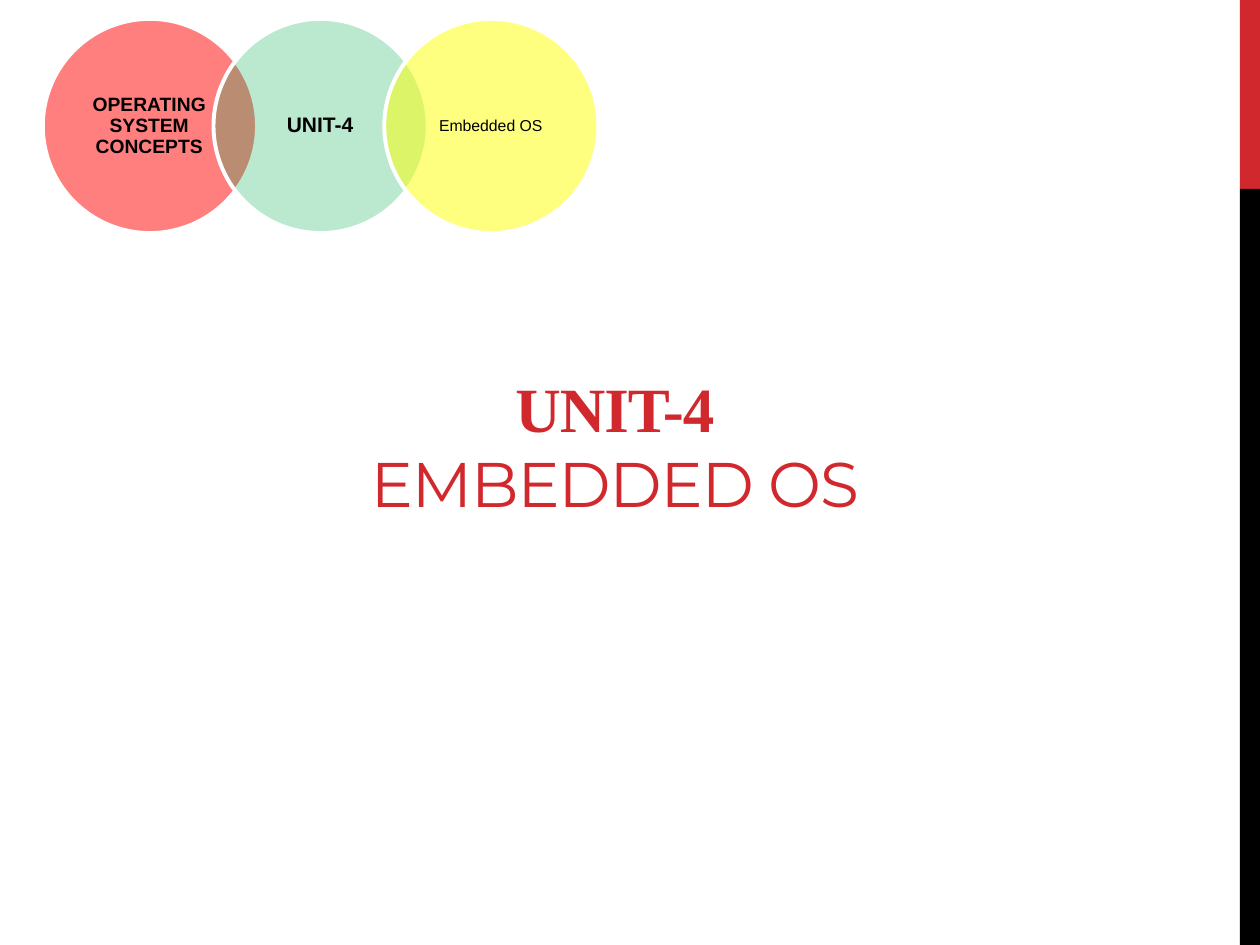
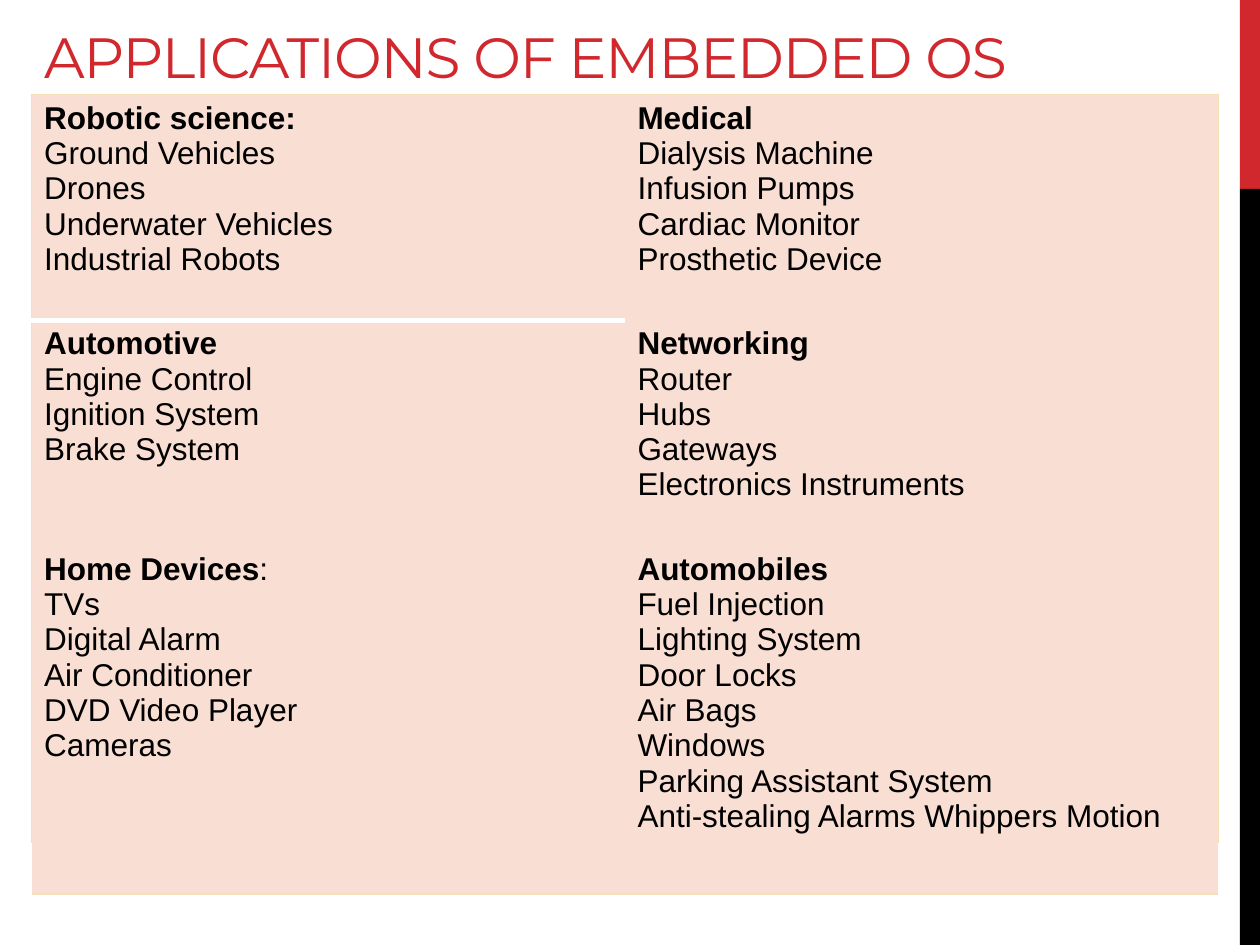
from pptx import Presentation
from pptx.dml.color import RGBColor
from pptx.enum.shapes import MSO_SHAPE
from pptx.enum.text import MSO_ANCHOR, MSO_AUTO_SIZE, PP_ALIGN
from pptx.oxml import parse_xml
from pptx.oxml.ns import nsdecls, qn
from pptx.util import Inches, Pt
from lxml import etree

RED = RGBColor(0xD1, 0x28, 0x2E)
BLACK = RGBColor(0x00, 0x00, 0x00)
WHITE = RGBColor(0xFF, 0xFF, 0xFF)
CIRCLE_RED = RGBColor(0xFF, 0x00, 0x00)
CIRCLE_GREEN = RGBColor(0x00, 0xB0, 0x50)
CIRCLE_YELLOW = RGBColor(0xFF, 0xFF, 0x00)
CELL_PINK = RGBColor(0xF8, 0xDE, 0xD3)
OUTLINE_CREAM = RGBColor(0xF6, 0xDE, 0xB7)
NO_STYLE_NO_GRID = "{2D5ABB26-0587-4C30-8999-92F81FD0307C}"


def set_title(slide, text, box, size, align, bottom_inset):
    title = slide.shapes.title
    title.left, title.top, title.width, title.height = map(Inches, box)
    frame = title.text_frame
    frame.text = text
    frame.auto_size = MSO_AUTO_SIZE.NONE
    frame.vertical_anchor = MSO_ANCHOR.BOTTOM
    frame.margin_bottom = Inches(bottom_inset)
    for paragraph in frame.paragraphs:
        paragraph.alignment = align
        for run in paragraph.runs:
            run.font.size = Pt(size)
            run.font.name = "Montserrat"
            run.font.color.rgb = RED
            run.font._element.set("spc", "-60")
    return frame


def add_border(cell, side, color, width):
    cell._tc.get_or_add_tcPr().append(parse_xml(
        f'<a:ln{side} {nsdecls("a")} w="{Pt(width)}"><a:solidFill>'
        f'<a:srgbClr val="{color}"/></a:solidFill></a:ln{side}>'))


prs = Presentation()
prs.slide_width, prs.slide_height = Inches(10), Inches(7.5)
title_only = prs.slide_layouts[5]
unit_slide = prs.slides.add_slide(title_only)
applications_slide = prs.slides.add_slide(title_only)

for top, height, color in ((0, 1.5, RED), (1.5, 6, BLACK)):
    band = unit_slide.shapes.add_shape(
        MSO_SHAPE.RECTANGLE, Inches(9.84), Inches(top), Inches(0.16), Inches(height))
    band.shadow.inherit = False
    band.fill.solid()
    band.fill.fore_color.rgb = color
    band.line.fill.background()
    prs.slide_master.shapes.element.append(band._element)

heading = set_title(unit_slide, "UNIT-4\nEMBEDDED OS", (0.17, 0.33, 9.42, 5),
                    36, PP_ALIGN.CENTER, 1.2)
unit_font = heading.paragraphs[0].runs[0].font
unit_font.name = "Times New Roman"
unit_font.bold = True

topics = (
    ("OPERATING SYSTEM CONCEPTS", 11, True, CIRCLE_RED, 50),
    ("UNIT-4", 12, True, CIRCLE_GREEN, 27),
    ("Embedded OS", 9, False, CIRCLE_YELLOW, 50),
)
venn = unit_slide.shapes.add_group_shape()
for index, (topic, size, bold, color, opacity) in enumerate(topics):
    left = 0.34 + 1.355 * index
    circle = venn.shapes.add_shape(
        MSO_SHAPE.OVAL, Inches(left), Inches(0.15), Inches(1.7), Inches(1.7))
    circle.shadow.inherit = False
    circle.fill.solid()
    circle.fill.fore_color.rgb = color
    tint = circle._element.spPr.find(qn("a:solidFill")).find(qn("a:srgbClr"))
    etree.SubElement(tint, qn("a:alpha")).set("val", str(opacity * 1000))
    circle.line.color.rgb = WHITE
    circle.line.width = Pt(2.25)

    label = venn.shapes.add_textbox(
        Inches(left + 0.245), Inches(0.4), Inches(1.2), Inches(1.2)).text_frame
    label.word_wrap = True
    label.vertical_anchor = MSO_ANCHOR.MIDDLE
    label.margin_left = label.margin_right = Inches(0.09)
    label.margin_top = label.margin_bottom = Inches(0.02)
    label.text = topic
    paragraph = label.paragraphs[0]
    paragraph.alignment = PP_ALIGN.CENTER
    paragraph.line_spacing = 0.9
    font = paragraph.runs[0].font
    font.size, font.name, font.bold = Pt(size), "Arial", bold
    font.color.rgb = BLACK

set_title(applications_slide, "APPLICATIONS OF EMBEDDED OS", (0.25, 0.17, 9.42, 0.58),
          32.4, PP_ALIGN.LEFT, 0.04)

applications = (
    (("Robotic science:", "Ground Vehicles", "Drones", "Underwater Vehicles",
      "Industrial Robots"),
     ("Medical", "Dialysis Machine", "Infusion Pumps", "Cardiac Monitor",
      "Prosthetic Device")),
    (("Automotive", "Engine Control", "Ignition System", "Brake System"),
     ("Networking", "Router", "Hubs", "Gateways", "Electronics Instruments")),
    (("Home Devices", "TVs", "Digital Alarm", "Air Conditioner", "DVD Video Player",
      "Cameras"),
     ("Automobiles", "Fuel Injection", "Lighting System", "Door Locks", "Air Bags",
      "Windows", "Parking Assistant System",
      "Anti-stealing Alarms Whippers Motion")),
)
row_heights = (1.79, 1.79, 2.36, 0.38)
table = applications_slide.shapes.add_table(
    4, 2, Inches(0.25), Inches(0.75), Inches(9.42), Inches(sum(row_heights))).table
table.first_row = table.horz_banding = False
table._tbl.tblPr.find(qn("a:tableStyleId")).text = NO_STYLE_NO_GRID
for row, height in zip(table.rows, row_heights):
    row.height = Inches(height)
table.cell(3, 0).merge(table.cell(3, 1))

for row in range(4):
    for column in range(2):
        cell = table.cell(row, column)
        if row < 3:
            add_border(cell, "LR"[column], OUTLINE_CREAM, 1)
        if row == 0:
            add_border(cell, "T", OUTLINE_CREAM, 1)
        if (row, column) == (0, 0):
            add_border(cell, "B", WHITE, 3.25)
        if row == 3:
            add_border(cell, "B", OUTLINE_CREAM, 1)
        cell.fill.solid()
        cell.fill.fore_color.rgb = CELL_PINK

for row, fields in enumerate(applications):
    for column, lines in enumerate(fields):
        frame = table.cell(row, column).text_frame
        frame.text = "\n".join(lines)
        if lines[0] == "Home Devices":
            frame.paragraphs[0].add_run().text = ":"
        for paragraph in frame.paragraphs:
            for run in paragraph.runs:
                run.font.size = Pt(18)
                run.font.name = "Arial"
                run.font.color.rgb = BLACK
        frame.paragraphs[0].runs[0].font.bold = True

prs.save("out.pptx")
